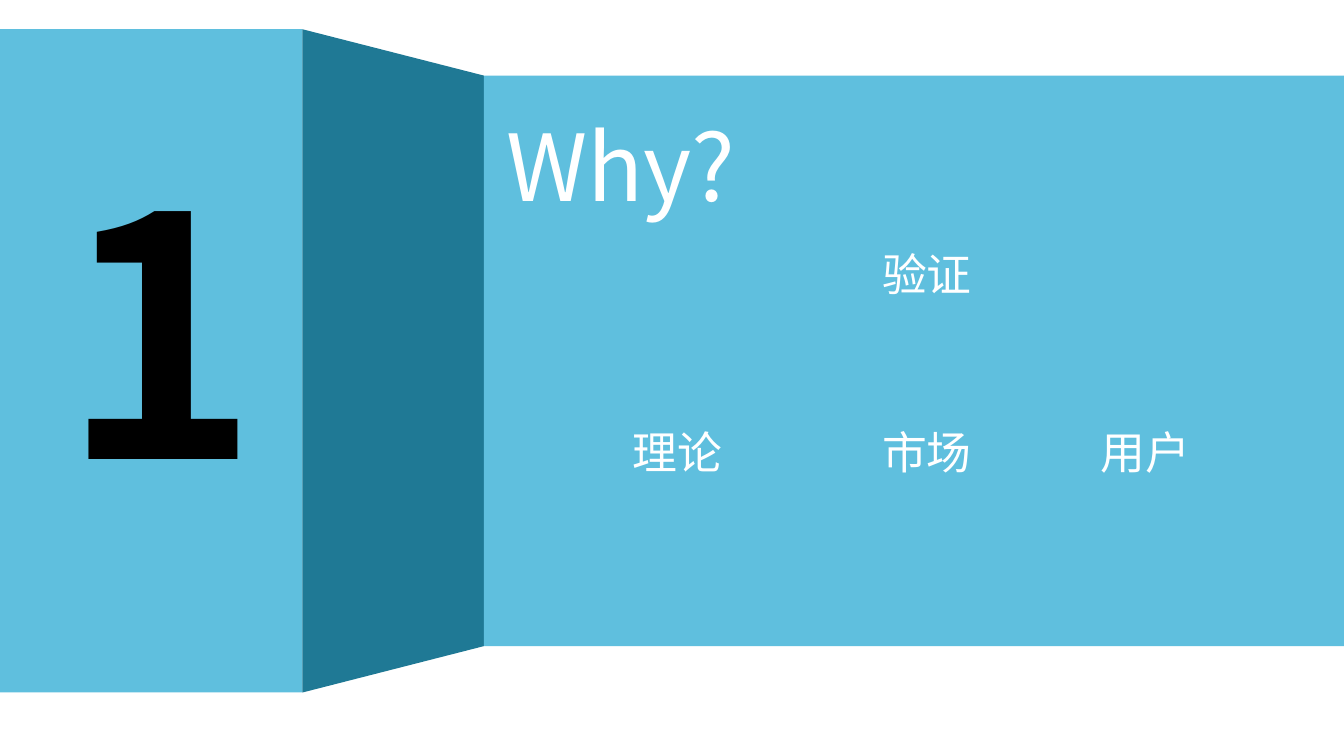
import pptx
import pptx.dml.color
import pptx.enum.shapes
import pptx.enum.text
import pptx.oxml
import pptx.oxml.ns
import pptx.util

SKY = pptx.dml.color.RGBColor(0x5F, 0xBF, 0xDE)
TEAL = pptx.dml.color.RGBColor(0x1F, 0x79, 0x95)
WHITE = pptx.dml.color.RGBColor(0xFF, 0xFF, 0xFF)
BLACK = pptx.dml.color.RGBColor(0x00, 0x00, 0x00)
SC_FONT = "Noto Sans CJK SC"
KR_FONT = "Noto Sans CJK KR"

WIDTH, HEIGHT = 13.33, 7.5
FOLD_LEFT, FOLD_RIGHT = 3, 4.8
NEAR_TOP, NEAR_BOTTOM = 0.29, 6.87
FAR_TOP, FAR_BOTTOM = 0.75, 6.41
COLUMNS = (6.18, 8.65, 10.82)
ROWS = (2.4, 4.16)
LABEL_SIZE = (1.13, 0.64)
LABELS = (
    ("理论", 0, 1, SC_FONT),
    ("市场", 1, 1, SC_FONT),
    ("用户", 2, 1, KR_FONT),
    ("验证", 1, 0, SC_FONT),
)


def inches(*lengths):
    return [pptx.util.Inches(length) for length in lengths]


def paint(shape, color):
    shape.fill.solid()
    shape.fill.fore_color.rgb = color
    shape.line.fill.background()
    shape.shadow.inherit = False


def add_panel(page, left, top, right, bottom):
    panel = page.shapes.add_shape(
        pptx.enum.shapes.MSO_SHAPE.RECTANGLE,
        *inches(left, top, right - left, bottom - top))
    paint(panel, SKY)


def add_fold(page):
    """Draw the slanted face that joins the near panel to the far one."""
    corners = [inches(*corner) for corner in (
        (FOLD_LEFT, NEAR_TOP), (FOLD_RIGHT, FAR_TOP),
        (FOLD_RIGHT, FAR_BOTTOM), (FOLD_LEFT, NEAR_BOTTOM))]
    outline = page.shapes.build_freeform(*corners[0])
    outline.add_line_segments(corners[1:], close=True)
    paint(outline.convert_to_shape(), TEAL)


def write_text(box, text, *, size, font=SC_FONT, color=WHITE, bold=False,
               align=pptx.enum.text.PP_ALIGN.JUSTIFY):
    frame = box.text_frame
    frame.word_wrap = True
    frame.auto_size = pptx.enum.text.MSO_AUTO_SIZE.NONE
    frame.vertical_anchor = pptx.enum.text.MSO_ANCHOR.TOP
    para = frame.paragraphs[0]
    para.alignment = align
    span = para.add_run()
    span.text = text
    span.font.size = pptx.util.Pt(size)
    span.font.name = font
    span.font.bold = bold
    span.font.color.rgb = color
    east_asian = pptx.oxml.parse_xml(
        f'<a:ea {pptx.oxml.ns.nsdecls("a")} typeface="{font}"/>')
    span.font._element.find(pptx.oxml.ns.qn("a:latin")).addnext(east_asian)


def add_text(page, text, left, top, width, height, **text_format):
    box = page.shapes.add_textbox(*inches(left, top, width, height))
    write_text(box, text, **text_format)


def place_title(page, text):
    title = page.shapes.title
    title.left, title.top, title.width, title.height = inches(
        4.92, 1.03, 7.29, 1.21)
    write_text(title, text, size=66)
    # Bring the title in front of the panels.
    title.element.getparent().append(title.element)


def main():
    deck = pptx.Presentation()
    deck.slide_width, deck.slide_height = inches(WIDTH, HEIGHT)
    page = deck.slides.add_slide(deck.slide_layouts.get_by_name("Title Only"))

    add_panel(page, 0, NEAR_TOP, FOLD_LEFT, NEAR_BOTTOM)
    add_fold(page)
    add_panel(page, FOLD_RIGHT, FAR_TOP, WIDTH, FAR_BOTTOM)

    place_title(page, "Why?")
    add_text(page, "1", 0.51, 1.19, 1.98, 4.12, size=239, font=KR_FONT,
             color=BLACK, bold=True, align=pptx.enum.text.PP_ALIGN.LEFT)
    for text, column, row, font in LABELS:
        add_text(page, text, COLUMNS[column], ROWS[row], *LABEL_SIZE,
                 size=32, font=font)

    deck.save("out.pptx")


if __name__ == "__main__":
    main()
